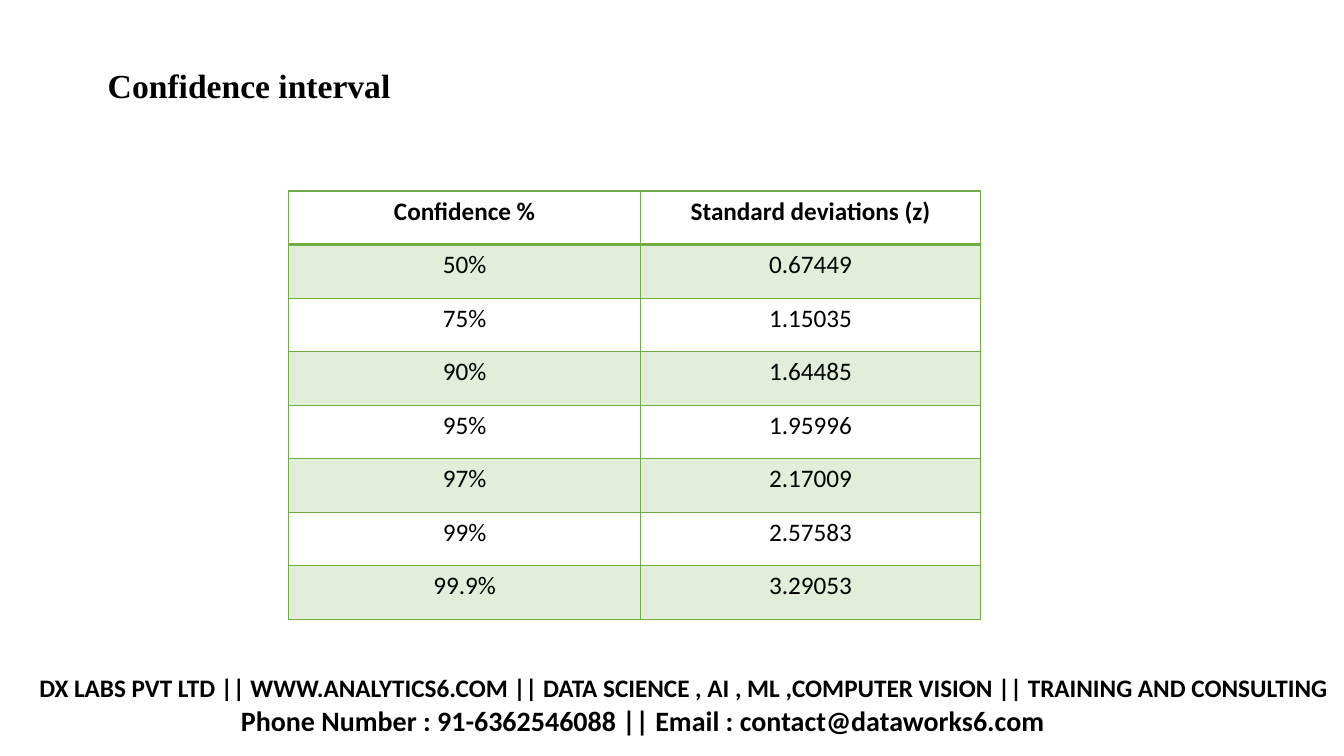
from lxml import etree
from pptx import Presentation
from pptx.dml.color import RGBColor
from pptx.enum.text import MSO_ANCHOR, MSO_AUTO_SIZE, PP_ALIGN
from pptx.oxml.ns import qn
from pptx.util import Pt

PX = 9525  # EMU per px, 96 px to the inch
LEFT, CENTER = PP_ALIGN.LEFT, PP_ALIGN.CENTER
MIDDLE = MSO_ANCHOR.MIDDLE
BLACK = RGBColor(0x00, 0x00, 0x00)
GREEN = RGBColor(0x70, 0xAD, 0x47)

TITLE_ONLY = 5
COL_WIDTHS = (335, 324)
ROW_HEIGHT = 51
BAND_ALPHA = 20
ROWS = [
    ("Confidence %", "Standard deviations (z)"),
    ("50%", "0.67449"),
    ("75%", "1.15035"),
    ("90%", "1.64485"),
    ("95%", "1.95996"),
    ("97%", "2.17009"),
    ("99%", "2.57583"),
    ("99.9%", "3.29053"),
]


def px(*values):
    return [v * PX for v in values]


def write(p, text, size=18, font="Calibri", bold=False, align=LEFT, indent=0):
    p.alignment = align
    if indent:
        p._p.get_or_add_pPr().set("marL", str(indent * PX))
    r = p.add_run()
    r.text = text
    r.font.size = Pt(size)
    r.font.name = font
    r.font.bold = bold
    r.font.color.rgb = BLACK


def set_border(cell, side, width):
    ln = etree.SubElement(cell._tc.get_or_add_tcPr(), qn("a:ln" + side), w=str(Pt(width)))
    fill = etree.SubElement(ln, qn("a:solidFill"))
    etree.SubElement(fill, qn("a:srgbClr"), val=str(GREEN))


def set_fill(cell, banded):
    if not banded:
        cell.fill.background()
        return
    cell.fill.solid()
    cell.fill.fore_color.rgb = GREEN
    color = cell._tc.tcPr.find(qn("a:solidFill")).find(qn("a:srgbClr"))
    etree.SubElement(color, qn("a:alpha"), val=str(BAND_ALPHA * 1000))


def add_title(s, text):
    title = s.shapes.title
    title.left, title.top, title.width, title.height = px(93, 38, 559, 90)
    tf = title.text_frame
    tf.vertical_anchor = MIDDLE
    p = tf.paragraphs[0]
    p.line_spacing = 0.9
    write(p, text, size=24, font="Times New Roman", bold=True)


def add_confidence_table(s):
    box = px(275, 182, sum(COL_WIDTHS), ROW_HEIGHT * len(ROWS))
    table = s.shapes.add_table(len(ROWS), len(COL_WIDTHS), *box).table
    table.horz_banding = False
    for column, width in zip(table.columns, COL_WIDTHS):
        column.width = width * PX
    for i, values in enumerate(ROWS):
        table.rows[i].height = ROW_HEIGHT * PX
        for j, value in enumerate(values):
            cell = table.cell(i, j)
            write(cell.text_frame.paragraphs[0], value, bold=i == 0, align=CENTER)
            # The rule under the header is twice as thick
            widths = {"L": 1, "R": 1, "T": 2 if i == 1 else 1, "B": 2 if i == 0 else 1}
            for side, width in widths.items():
                set_border(cell, side, width)
            set_fill(cell, banded=i % 2 == 1)


def add_contact(s):
    tf = s.shapes.add_textbox(*px(28, 636, 1278, 71)).text_frame
    tf.word_wrap = True
    tf.auto_size = MSO_AUTO_SIZE.SHAPE_TO_FIT_TEXT
    write(tf.paragraphs[0],
          "DX LABS PVT LTD || WWW.ANALYTICS6.COM || DATA SCIENCE , AI , ML ,"
          "COMPUTER VISION || TRAINING AND CONSULTING", bold=True)
    write(tf.add_paragraph(),
          "Phone Number : 91-6362546088 || Email : contact@dataworks6.com",
          size=20, bold=True, indent=192)


def main():
    prs = Presentation()
    prs.slide_width, prs.slide_height = px(1280, 720)
    s = prs.slides.add_slide(prs.slide_layouts[TITLE_ONLY])
    add_title(s, "Confidence interval")
    add_confidence_table(s)
    add_contact(s)
    prs.save("out.pptx")


if __name__ == "__main__":
    main()
